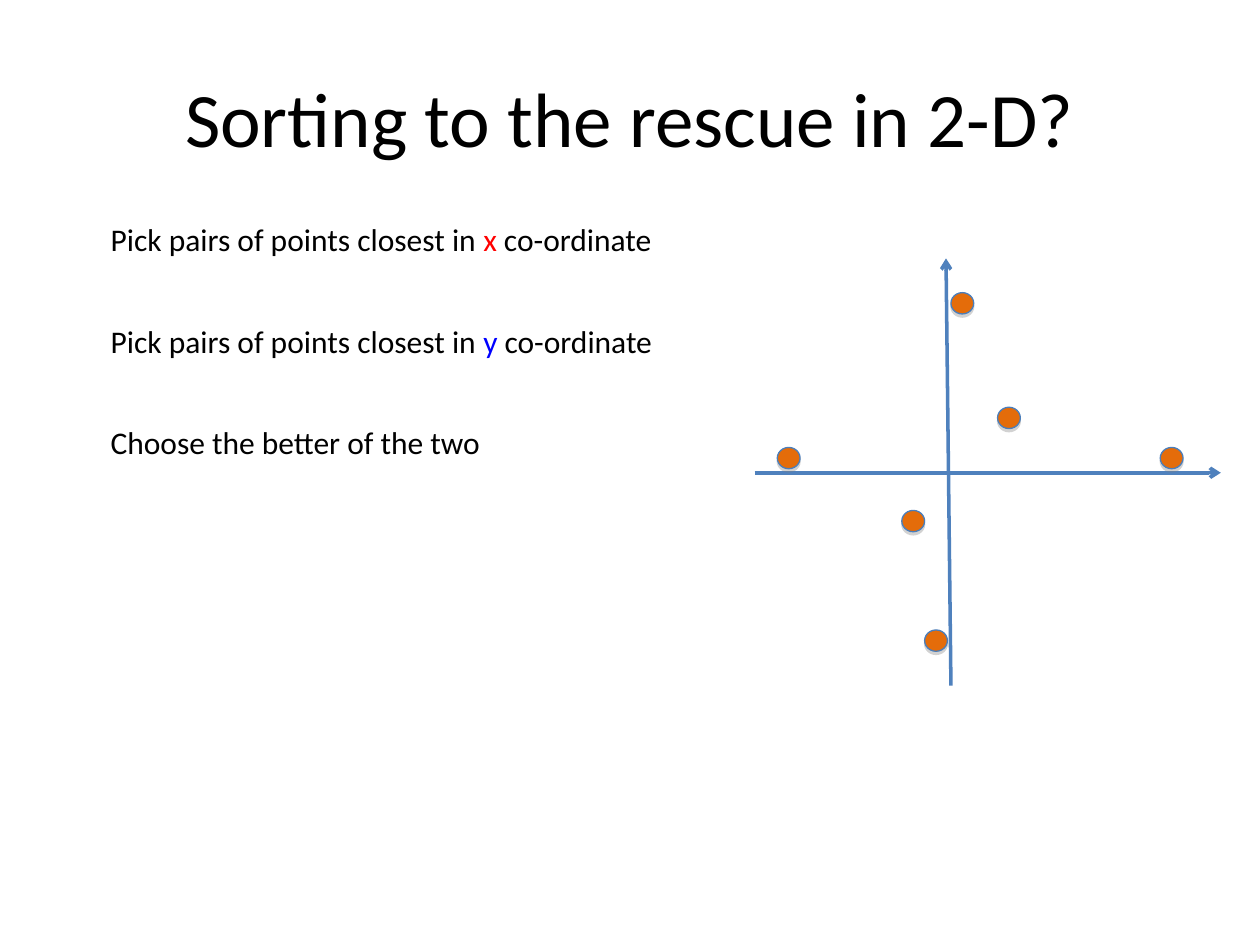
from lxml import etree
from pptx import Presentation
from pptx import util as u
from pptx.dml.color import RGBColor
from pptx.enum import shapes, text
from pptx.oxml import ns, parse_xml

COLOURS = {
    "text": "000000",
    "x": "FF0000",
    "y": "0000FF",
    "axis": "4F81BD",
    "point": "E46C0A",
    "outline": "4A7EBB",
    "shadow": "808080",
}
FONT = "Calibri"
STEPS = [
    (11.47, [("Pick pairs of points closest in ", "text"), ("x", "x"), (" co-ordinate", "text")]),
    (11.47, [("Pick pairs of points closest in ", "text"), ("y", "y"), (" co-ordinate", "text")]),
    (7.98, [("Choose the better of the two", "text")]),
]
STEP_PITCH = 2.04
AXES = [((3.96, 8.61), (3.86, 0)), ((0, 4.32), (9.4, 4.32))]
POINTS = [(0.46, 3.81), (3.43, 7.49), (4.9, 3), (3.96, 0.69), (2.97, 5.08), (8.18, 3.81)]
POINT_SIZE = (0.46, 0.43)


def colour(name):
    """Return the named colour."""
    return RGBColor.from_string(COLOURS[name])


def add_text(page, box, spans, size, wrap=False):
    """Add one line of coloured spans in a box and return its shape."""
    shape = page.shapes.add_textbox(*map(u.Cm, box))
    shape.text_frame.word_wrap = wrap
    para = shape.text_frame.paragraphs[0]
    for words, name in spans:
        span = para.add_run()
        span.text = words
        span.font.name = FONT
        span.font.size = u.Pt(size)
        span.font.color.rgb = colour(name)
    return shape


def add_title(page, box):
    """Add the centred title."""
    frame = add_text(page, box, [("Sorting to the rescue in 2-D?", "text")], 44, True).text_frame
    frame.vertical_anchor = text.MSO_ANCHOR.MIDDLE
    frame.paragraphs[0].alignment = text.PP_ALIGN.CENTER


def add_steps(page, box):
    """Add the steps at an equal pitch down the box."""
    left, top = box
    for index, (width, spans) in enumerate(STEPS):
        add_text(page, (left, top + index * STEP_PITCH, width, 1.02), spans, 18)


def add_axis(page, start, end):
    """Add an axis with an open arrowhead at its end."""
    axis = page.shapes.add_connector(shapes.MSO_CONNECTOR.STRAIGHT, *map(u.Cm, start + end))
    axis.line.color.rgb = colour("axis")
    axis.line.width = u.Pt(2)
    etree.SubElement(axis.line._get_or_add_ln(), ns.qn("a:tailEnd"), type="arrow")
    etree.SubElement(axis._element.spPr, ns.qn("a:effectLst"))


def add_point(page, left, top):
    """Add a round point with a soft shadow below it."""
    point = page.shapes.add_shape(shapes.MSO_SHAPE.OVAL, *map(u.Cm, (left, top) + POINT_SIZE))
    point.fill.solid()
    point.fill.fore_color.rgb = colour("point")
    point.line.color.rgb = colour("outline")
    point.line.width = u.Pt(0.75)
    point.shadow.inherit = False
    effects = point._element.spPr.find(ns.qn("a:effectLst"))
    effects.append(parse_xml(
        f'<a:outerShdw {ns.nsdecls("a")} blurRad="0" dist="{u.Pt(1.8)}" dir="5400000" '
        f'rotWithShape="0"><a:srgbClr val="{COLOURS["shadow"]}"><a:alpha val="35000"/>'
        '</a:srgbClr></a:outerShdw>'))


def add_plot(page, box):
    """Add the axes and points relative to the corner of the box."""
    left, top = box
    for (x1, y1), (x2, y2) in AXES:
        add_axis(page, (left + x1, top + y1), (left + x2, top + y2))
    for x, y in POINTS:
        add_point(page, left + x, top + y)


def main():
    """Build and save the deck."""
    deck = Presentation()
    deck.slide_width, deck.slide_height = u.Cm(25.4), u.Cm(19.05)
    page = deck.slides.add_slide(deck.slide_layouts[6])
    add_title(page, (1.27, 0.76, 22.86, 3.18))
    add_steps(page, (1.98, 4.32))
    add_plot(page, (15.21, 5.21))
    deck.save("out.pptx")


if __name__ == "__main__":
    main()
